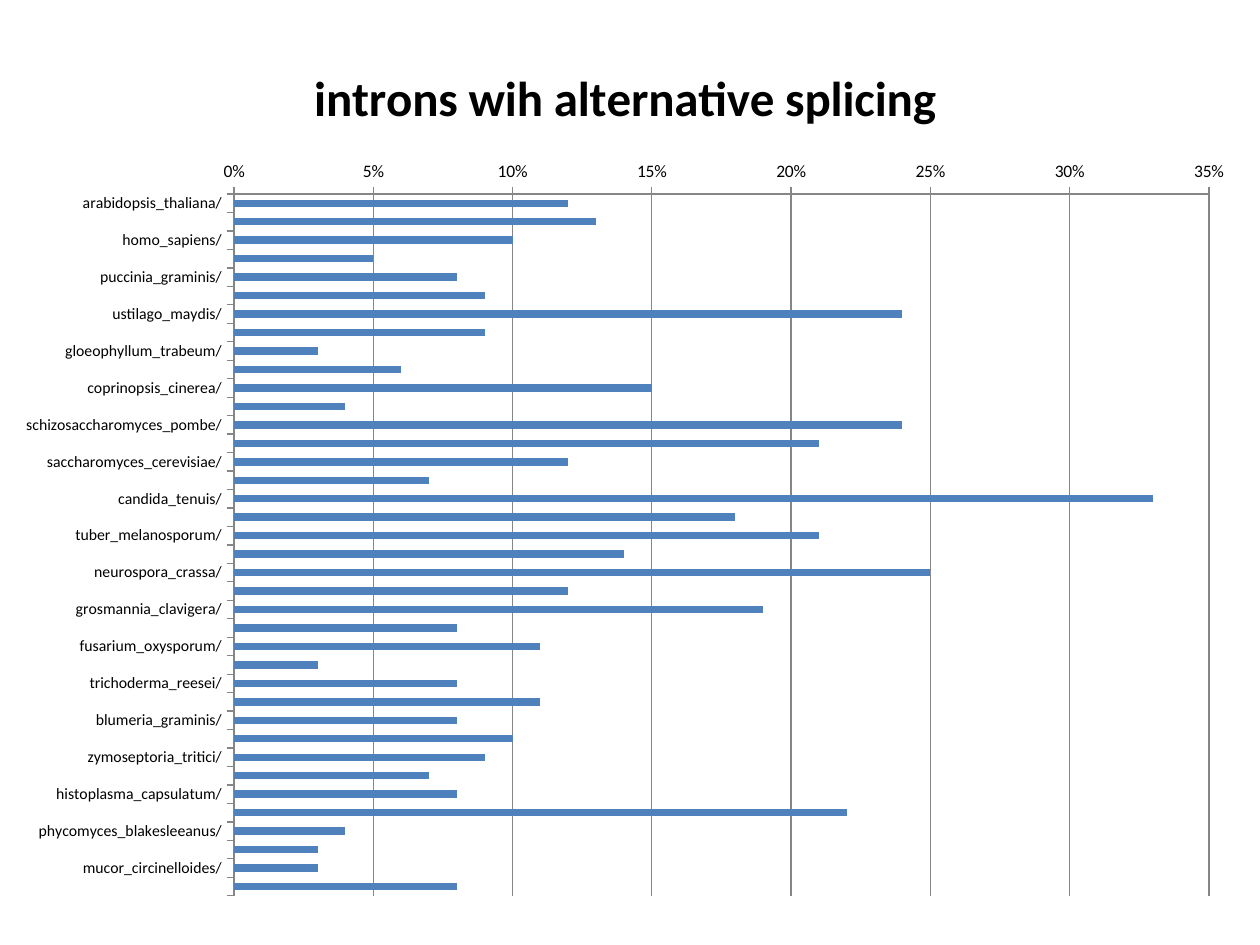
from pptx import Presentation
from pptx.chart.data import CategoryChartData
from pptx.dml.color import RGBColor
from pptx.enum.chart import XL_CHART_TYPE, XL_TICK_LABEL_POSITION, XL_TICK_MARK
from pptx.util import Inches, Pt

BAR_CLUSTERED = XL_CHART_TYPE.BAR_CLUSTERED
NEXT_TO_AXIS = XL_TICK_LABEL_POSITION.NEXT_TO_AXIS
OUTSIDE, NO_TICK = XL_TICK_MARK.OUTSIDE, XL_TICK_MARK.NONE

BLACK = RGBColor(0x00, 0x00, 0x00)
GRAY = RGBColor(0x86, 0x86, 0x86)
BLUE = RGBColor(0x4F, 0x81, 0xBD)
FONT = "Calibri"

# Content: share of introns per species, in percent
TITLE = "introns wih alternative splicing"
SPECIES = [
    ("arabidopsis_thaliana/", 12), ("phytophthora_infestans/", 13),
    ("homo_sapiens/", 10), ("batrachochytrium_dendrobatidis/", 5),
    ("puccinia_graminis/", 8), ("microbotryum_violaceum/", 9),
    ("ustilago_maydis/", 24), ("cryptococcus_neoformans/", 9),
    ("gloeophyllum_trabeum/", 3), ("pleurotus_ostreatus/", 6),
    ("coprinopsis_cinerea/", 15), ("laccaria_bicolor/", 4),
    ("schizosaccharomyces_pombe/", 24), ("yarrowia_lipolytica/", 21),
    ("saccharomyces_cerevisiae/", 12), ("kluyveromyces_lactis/", 7),
    ("candida_tenuis/", 33), ("candida_albicans/", 18),
    ("tuber_melanosporum/", 21), ("magnaporthe_oryzae/", 14),
    ("neurospora_crassa/", 25), ("podospora_anserina/", 12),
    ("grosmannia_clavigera/", 19), ("verticillium_dahliae/", 8),
    ("fusarium_oxysporum/", 11), ("metarhizium_acridum/", 3),
    ("trichoderma_reesei/", 8), ("botrytis_cinerea/", 11),
    ("blumeria_graminis/", 8), ("leptosphaeria_maculans/", 10),
    ("zymoseptoria_tritici/", 9), ("aspergillus_nidulans/", 7),
    ("histoplasma_capsulatum/", 8), ("coccidioides_posadasii/", 22),
    ("phycomyces_blakesleeanus/", 4), ("rhizopus_oryzae/", 3),
    ("mucor_circinelloides/", 3), ("rhizophagus_irregularis/", 8),
]

# Place of the chart in inches
CHART_BOX = (0.01, 0.25, 9.9, 7)


def style_font(font, size, bold=False, color=BLACK):
    font.name, font.size, font.bold = FONT, Pt(size), bold
    font.color.rgb = color


def add_text(tf, text, **style):
    r = tf.paragraphs[0].add_run()
    r.text = text
    style_font(r.font, **style)


def style_line(line):
    line.color.rgb = GRAY
    line.width = Pt(0.75)


def style_axis(axis, size):
    axis.major_tick_mark, axis.minor_tick_mark = OUTSIDE, NO_TICK
    axis.tick_label_position = NEXT_TO_AXIS
    style_font(axis.tick_labels.font, size)
    style_line(axis.format.line)


prs = Presentation()
prs.slide_width, prs.slide_height = Inches(10), Inches(7.5)
s = prs.slides.add_slide(prs.slide_layouts[6])

# Chart
data = CategoryChartData(number_format="0%")
data.categories = [name for name, _ in SPECIES]
data.add_series(TITLE, [percent / 100 for _, percent in SPECIES])
chart = s.shapes.add_chart(BAR_CLUSTERED, *map(Inches, CHART_BOX), data).chart
style_font(chart.font, 10)
chart.has_legend = False
chart.has_title = True
add_text(chart.chart_title.text_frame, TITLE, size=28, bold=True)
chart.chart_title.include_in_layout = False

# Bars
plot = chart.plots[0]
plot.gap_width = 150
plot.vary_by_categories = False
fill = plot.series[0].format.fill
fill.solid()
fill.fore_color.rgb = BLUE

# Axes: first species on top, percentages above the bars
style_axis(chart.category_axis, 9)
chart.category_axis.reverse_order = True
values = chart.value_axis
style_axis(values, 10)
values.minimum_scale, values.maximum_scale, values.major_unit = 0, 0.35, 0.05
values.tick_labels.number_format = "0%"
values.tick_labels.number_format_is_linked = False
values.has_major_gridlines = True
style_line(values.major_gridlines.format.line)

prs.save("out.pptx")
